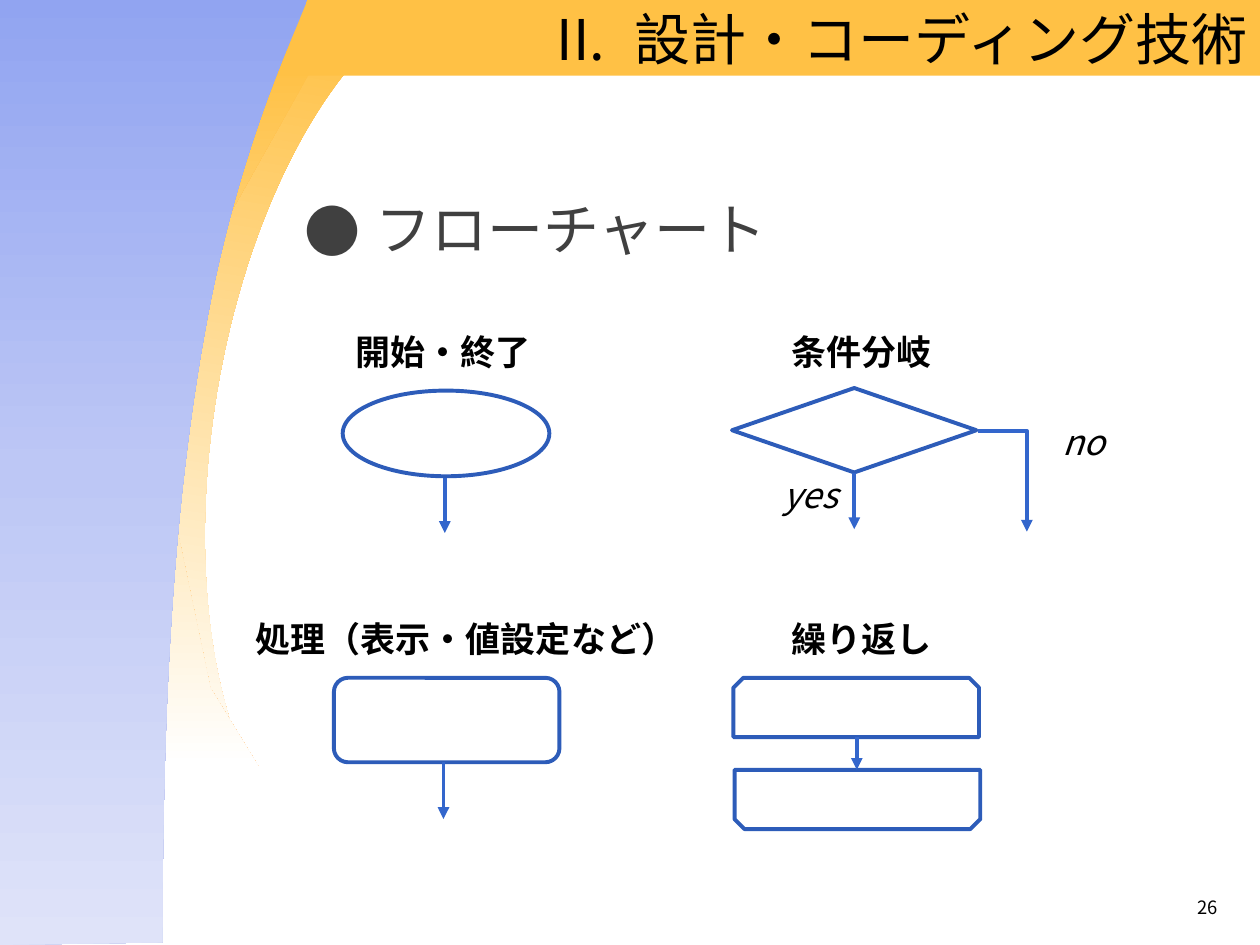
import pptx
import pptx.util
import pptx.dml.color
import pptx.enum.shapes
import pptx.enum.text
import pptx.oxml
import pptx.oxml.ns
import copy

Inches, Pt = pptx.util.Inches, pptx.util.Pt
RGB = pptx.dml.color.RGBColor.from_string
qn = pptx.oxml.ns.qn
MSO = pptx.enum.shapes.MSO_SHAPE
CONN = pptx.enum.shapes.MSO_CONNECTOR
ALIGN = pptx.enum.text.PP_ALIGN
ANCHOR = pptx.enum.text.MSO_ANCHOR

THEME = {
    "font": "Noto Sans CJK JP", "black": "000000", "body": "404040",
    "white": "FFFFFF", "orange": "FFC145", "line": "2D5CB9", "arrow": "3366CC",
    "blues": ["91A4F1", "BDC7F5", "DFE3F9"],
    "head": Pt(32), "label": Pt(20), "page": Pt(10.5), "width": Pt(2.25),
}

prs = pptx.Presentation()
prs.slide_width, prs.slide_height = Inches(10), Inches(7.5)
s = prs.slides.add_slide(prs.slide_layouts[6])


def paint(sp, colors, line=None):
    sp.shadow.inherit = False
    if len(colors) == 1:
        sp.fill.solid()
        sp.fill.fore_color.rgb = RGB(colors[0])
    else:
        sp.fill.gradient()
        sp.fill.gradient_angle = 270
        stops = next(sp._element.spPr.iter(qn("a:gsLst")))
        while len(stops) < len(colors):
            stops.append(copy.deepcopy(stops[0]))
        for i, (stop, color) in enumerate(zip(sp.fill.gradient_stops, colors)):
            stop.color.rgb = RGB(color)
            stop.position = i / (len(colors) - 1)
    if line:
        sp.line.color.rgb = RGB(line)
        sp.line.width = THEME["width"]
    else:
        sp.line.fill.background()


def add_text(text, box, size, color="black", frame={}, para={}, font={}, bullet=None):
    tf = s.shapes.add_textbox(*map(Inches, box)).text_frame
    for name, value in {"word_wrap": True, **frame}.items():
        setattr(tf, name, value)
    p = tf.paragraphs[0]
    for name, value in para.items():
        setattr(p, name, value)
    r = p.add_run()
    r.text = text
    r.font.color.rgb = RGB(THEME[color])
    for name, value in {"name": THEME["font"], "size": THEME[size], **font}.items():
        setattr(r.font, name, value)
    rPr = r._r.get_or_add_rPr()
    rPr.append(rPr.makeelement(qn("a:ea"), {"typeface": THEME["font"]}))
    if bullet:
        tag, indent, attrs = bullet
        pPr = p._p.get_or_add_pPr()
        pPr.set("marL", str(Inches(indent)))
        pPr.set("indent", str(-Inches(indent)))
        pPr.append(pPr.makeelement(qn("a:buFont"), {"typeface": THEME["font"]}))
        pPr.append(pPr.makeelement(qn(tag), attrs))


fade = [THEME["orange"], THEME["white"]]
sp = s.shapes.add_shape(MSO.MOON, *map(Inches, (1.03, 0.29, 1.38, 5.67)))
sp.rotation = 9.3
paint(sp, fade)

band = [(2.05, 6.08), (0, 6.08), (0, 0.5), (2.5, 0.5), (1.52, 2.24), (1.36, 3.98), (1.67, 5.46)]
curves = [[(2.44, 0), (2.31, 0.33), (1.94, 1.09), (1.68, 2.35)],
          [(1.68, 2.35), (1.43, 3.61), (1.29, 5.1), (1.29, 7.48)]]
steps = 24
side = [(0, 7.5), (0, -0.03), (2.44, 0)]
edge = []
for curve in curves:
    for i in range(1, steps + 1):
        t = i / steps
        weights = [(1 - t) ** 3, 3 * t * (1 - t) ** 2, 3 * t * t * (1 - t), t ** 3]
        edge.append(tuple(sum(w * pt[k] for w, pt in zip(weights, curve)) for k in (0, 1)))

for points, colors in [(band, fade), (None, [THEME["orange"]]), (side + edge, THEME["blues"])]:
    if points:
        pts = [(Inches(x), Inches(y)) for x, y in points]
        fb = s.shapes.build_freeform(*pts[0])
        fb.add_line_segments(pts[1:], close=True)
        sp = fb.convert_to_shape()
    else:
        sp = s.shapes.add_shape(MSO.RECTANGLE, 0, Inches(-0.01), Inches(10), Inches(0.61))
    paint(sp, colors)

add_text("フローチャート", (2.32, 1.23, 7.4, 6.27), "head", "body",
         para={"line_spacing": 1.5}, bullet=("a:buChar", 0.56, {"char": "●"}))
add_text("設計・コーディング技術", (2.32, 0, 7.68, 0.6), "head",
         frame={"vertical_anchor": ANCHOR.MIDDLE}, para={"alignment": ALIGN.RIGHT},
         bullet=("a:buAutoNum", 0.62, {"type": "romanUcPeriod", "startAt": "2"}))
add_text("26", (7.99, 7.06, 1.77, 0.29), "page", para={"alignment": ALIGN.RIGHT})

for kind, box, rotation in [
    (MSO.FLOWCHART_DECISION, (5.81, 3.08, 1.94, 0.67), 0),
    (MSO.FLOWCHART_CONNECTOR, (2.72, 3.1, 1.64, 0.68), 0),
    (MSO.FLOWCHART_ALTERNATE_PROCESS, (2.65, 5.38, 1.79, 0.67), 0),
    (MSO.SNIP_2_SAME_RECTANGLE, (5.82, 5.38, 1.95, 0.47), 0),
    (MSO.SNIP_2_SAME_RECTANGLE, (5.83, 6.11, 1.95, 0.47), 180),
]:
    sp = s.shapes.add_shape(kind, *map(Inches, box))
    sp.rotation = rotation
    paint(sp, [THEME["white"]], THEME["line"])

for text, x, y, w in [("開始・終了", 2.72, 2.57, 1.6), ("条件分岐", 6.18, 2.57, 1.32),
                      ("処理（表示・値設定など）", 1.93, 4.85, 3.57), ("繰り返し", 6.18, 4.85, 1.32)]:
    add_text(text, (x, y, w, 0.44), "label", frame={"word_wrap": False}, font={"bold": True})

margins = {"margin_" + edge_name: Inches(0.2) for edge_name in ("left", "top", "right", "bottom")}
for text, x, y in [("no", 8.23, 3.17), ("yes", 6.02, 3.59)]:
    add_text(text, (x, y, 0.94, 0.73), "label", frame=margins, font={"italic": True})

for kind, ends in [
    (CONN.STRAIGHT, (3.53, 3.79, 3.53, 4.23)),
    (CONN.STRAIGHT, (6.78, 3.75, 6.78, 4.2)),
    (CONN.STRAIGHT, (6.8, 5.85, 6.8, 6.11)),
    (CONN.STRAIGHT, (3.52, 6.05, 3.52, 6.5)),
    (CONN.ELBOW, (7.76, 3.42, 8.15, 4.22)),
]:
    sp = s.shapes.add_connector(kind, *map(Inches, ends))
    sp.line.color.rgb = RGB(THEME["arrow"])
    sp.line.width = THEME["width"]
    spPr = sp._element.spPr
    ln = spPr.find(qn("a:ln"))
    ln.append(ln.makeelement(qn("a:tailEnd"), {"type": "triangle"}))
    spPr.append(spPr.makeelement(qn("a:effectLst"), {}))
    if kind == CONN.ELBOW:
        spPr.find(qn("a:prstGeom")).set("prst", "bentConnector2")

prs.save("out.pptx")
